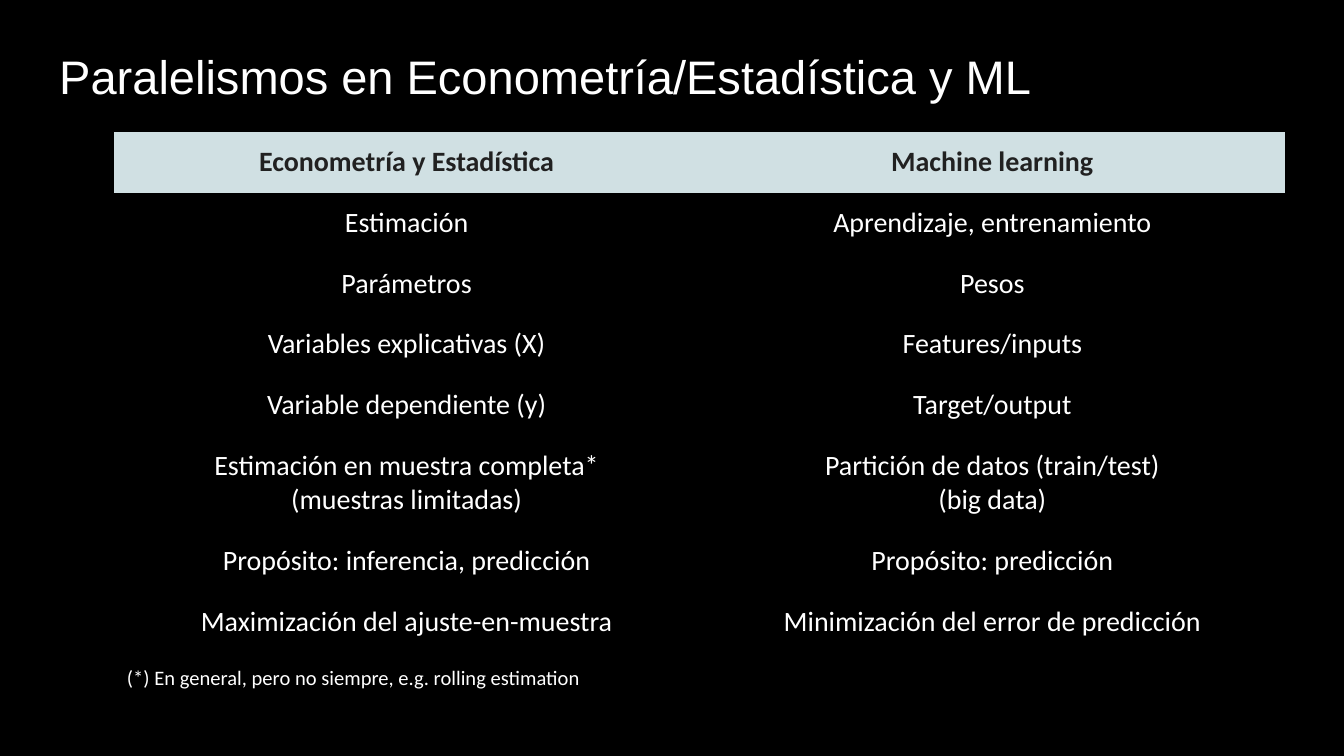
from pptx import Presentation
from pptx.dml.color import RGBColor
from pptx.enum.text import MSO_ANCHOR, PP_ALIGN
from pptx.oxml.ns import qn
from pptx.util import Cm, Pt

CENTER, LEFT = PP_ALIGN.CENTER, PP_ALIGN.LEFT
BOTTOM = MSO_ANCHOR.BOTTOM

# Content
TITLE = "Paralelismos en Econometría/Estadística y ML"
HEADINGS = ("Econometría y Estadística", "Machine learning")
PARALLELS = [
    ("Estimación", "Aprendizaje, entrenamiento"),
    ("Parámetros", "Pesos"),
    ("Variables explicativas (X)", "Features/inputs"),
    ("Variable dependiente (y)", "Target/output"),
    ("Estimación en muestra completa*\n(muestras limitadas)",
     "Partición de datos (train/test)\n(big data)"),
    ("Propósito: inferencia, predicción", "Propósito: predicción"),
    ("Maximización del ajuste-en-muestra", "Minimización del error de predicción"),
]
FOOTNOTE = "(*) En general, pero no siempre, e.g. rolling estimation"

# Look
BLACK, WHITE, DARK, PALE = "000000", "FFFFFF", "212121", "D0E0E3"
INSET = Cm(0.25)
ROW_HEIGHT, TALL_ROW_HEIGHT, NOTE_HEIGHT = 1.15, 1.8, 0.98
COLUMN_WIDTH = 11.07
NO_STYLE_NO_GRID = "{2D5ABB26-0587-4C30-8999-92F81FD0307C}"


def color(hex_string):
    return RGBColor.from_string(hex_string)


def write(frame, text, font, size, hex_string, align=LEFT, bold=False):
    frame.text = text
    for paragraph in frame.paragraphs:
        paragraph.alignment = align
        for run in paragraph.runs:
            run.font.name = font
            run.font.size = Pt(size)
            run.font.bold = bold
            run.font.color.rgb = color(hex_string)


def set_insets(box):
    box.margin_left = box.margin_right = INSET
    box.margin_top = box.margin_bottom = INSET


def write_cell(cell, text, size=15, hex_string=WHITE, align=CENTER, header=False):
    set_insets(cell)
    write(cell.text_frame, text, "Calibri", size, hex_string, align, header)
    if header:
        cell.fill.solid()
        cell.fill.fore_color.rgb = color(PALE)
    else:
        cell.fill.background()


presentation = Presentation()
presentation.slide_width, presentation.slide_height = Cm(25.4), Cm(14.29)
slide = presentation.slides.add_slide(presentation.slide_layouts[6])
slide.background.fill.solid()
slide.background.fill.fore_color.rgb = color(BLACK)

# Title
title = slide.shapes.add_textbox(Cm(0.87), Cm(0.61), Cm(23.67), Cm(1.6)).text_frame
title.word_wrap = True
title.vertical_anchor = BOTTOM
set_insets(title)
write(title, TITLE, "Arial", 25.2, WHITE)

# Comparison table: headings, parallels, then a merged footnote row
heights = [ROW_HEIGHT]
heights += [TALL_ROW_HEIGHT if "\n" in pair[0] else ROW_HEIGHT for pair in PARALLELS]
heights.append(NOTE_HEIGHT)
comparison = slide.shapes.add_table(
    len(heights), len(HEADINGS), Cm(2.15), Cm(2.49),
    Cm(COLUMN_WIDTH * len(HEADINGS)), Cm(sum(heights))).table
comparison.horz_banding = False
comparison._tbl.tblPr.find(qn("a:tableStyleId")).text = NO_STYLE_NO_GRID
for column in comparison.columns:
    column.width = Cm(COLUMN_WIDTH)
for row, height in zip(comparison.rows, heights):
    row.height = Cm(height)

for col, heading in enumerate(HEADINGS):
    write_cell(comparison.cell(0, col), heading, hex_string=DARK, header=True)
for line, pair in enumerate(PARALLELS, start=1):
    for col, term in enumerate(pair):
        write_cell(comparison.cell(line, col), term)

last = len(heights) - 1
note = comparison.cell(last, 0)
note.merge(comparison.cell(last, len(HEADINGS) - 1))
write_cell(note, FOOTNOTE, size=11, align=LEFT)

presentation.save("out.pptx")
